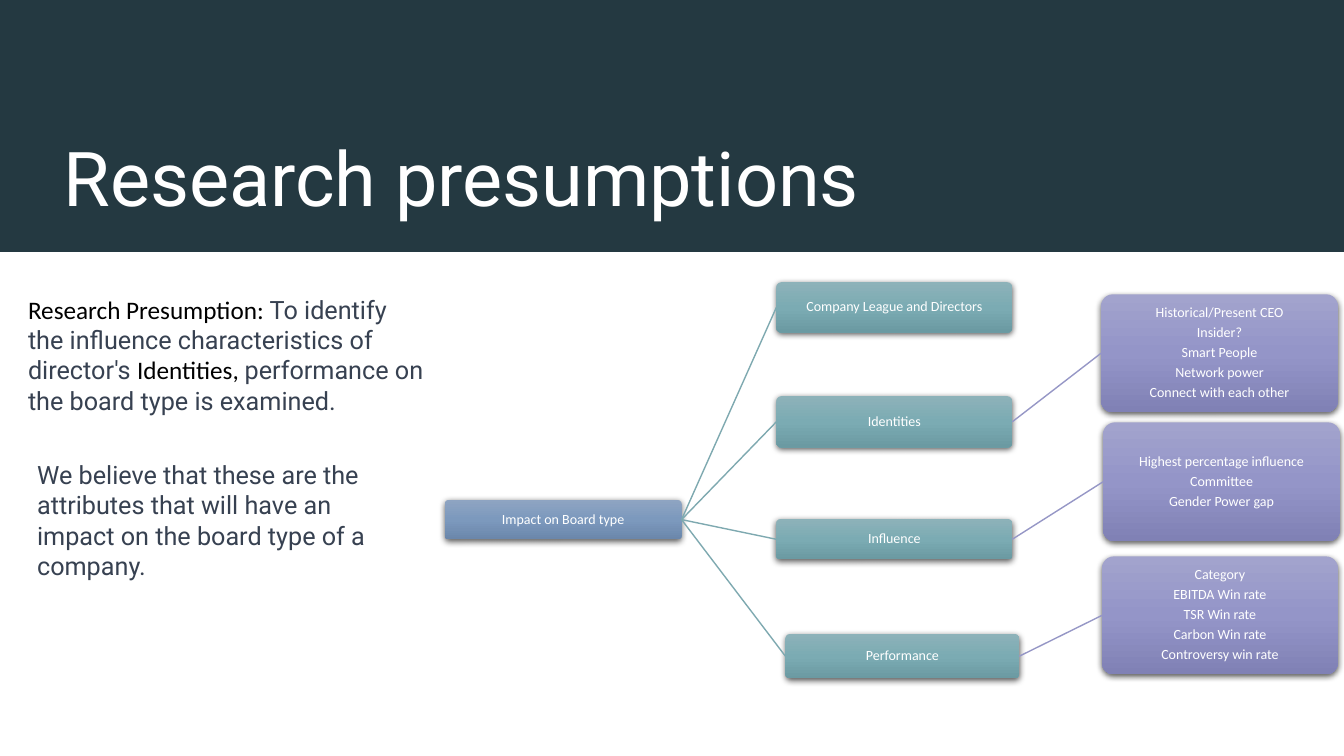
from pptx import Presentation
from pptx.dml.color import RGBColor
from pptx.enum.shapes import MSO_CONNECTOR as Connector, MSO_SHAPE as Shape
from pptx.enum.text import MSO_ANCHOR as Anchor, MSO_AUTO_SIZE as AutoSize, PP_ALIGN as Align
from pptx.oxml import parse_xml
from pptx.oxml.ns import nsdecls, qn
from pptx.util import Inches, Pt

WHITE, BLACK, SLATE, BAND = "FFFFFF", "000000", "374151", "243941"
TEAL_LINE, PURPLE_LINE = "7EA9B0", "9697C6"
BLUE = ("8EA4C2", "7C99BD", "6B87AB")
TEAL = ("8DB2B9", "7BABB3", "6B9AA2")
PURPLE = ("A2A3CD", "9495C8", "8081B5")


def style_font(font, name, size, color):
    font.name, font.size = name, Pt(size)
    font.color.rgb = RGBColor.from_string(color)


presentation = Presentation()
presentation.slide_width, presentation.slide_height = Inches(13.33), Inches(7.5)
slide = presentation.slides.add_slide(presentation.slide_layouts[5])
shapes = slide.shapes

title = shapes.title
title.left, title.top, title.width, title.height = map(Inches, (0.53, 0.41, 11.89, 1.85))
title.text_frame.text = "Research presumptions"
title.text_frame.vertical_anchor = Anchor.BOTTOM
title.text_frame.auto_size = AutoSize.NONE
title_paragraph = title.text_frame.paragraphs[0]
title_paragraph.alignment = Align.LEFT
title_paragraph.line_spacing = 0.9
style_font(title_paragraph.font, "Roboto", 54, WHITE)

band = shapes.add_shape(Shape.RECTANGLE, 0, 0, presentation.slide_width, Inches(2.5))
band.shadow.inherit = False
band.fill.solid()
band.fill.fore_color.rgb = RGBColor.from_string(BAND)
band.line.fill.background()
title.element.addprevious(band.element)

nodes = [
    ("Board", BLUE, 4.41, 4.96, 2.35, 0.39, ["Impact on Board type"]),
    ("League", TEAL, 7.7, 2.8, 2.34, 0.5, ["Company League and Directors"]),
    ("Identities", TEAL, 7.7, 3.93, 2.34, 0.51, ["Identities"]),
    ("Influence", TEAL, 7.7, 5.15, 2.34, 0.4, ["Influence"]),
    ("Performance", TEAL, 7.79, 6.29, 2.32, 0.44, ["Performance"]),
    ("Identity factors", PURPLE, 10.92, 2.92, 2.35, 1.17,
     ["Historical/Present CEO", "Insider?", "Smart People", "Network power",
      "Connect with each other"]),
    ("Influence factors", PURPLE, 10.94, 4.19, 2.35, 1.18,
     ["Highest percentage influence", "Committee", "Gender Power gap"]),
    ("Performance factors", PURPLE, 10.93, 5.52, 2.34, 1.17,
     ["Category", "EBITDA Win rate", "TSR Win rate", "Carbon Win rate",
      "Controversy win rate"]),
]
boxes = {}
for node, gradient, left, top, width, height, lines in nodes:
    box = shapes.add_shape(Shape.ROUNDED_RECTANGLE, *map(Inches, (left, top, width, height)))
    box.adjustments[0] = 0.1
    box.line.fill.background()
    box.shadow.inherit = False
    properties = box.element.spPr
    stops = "".join(
        f'<a:gs pos="{step * 50000}"><a:srgbClr val="{color}"/></a:gs>'
        for step, color in enumerate(gradient))
    properties.find(qn("a:ln")).addprevious(parse_xml(
        f'<a:gradFill {nsdecls("a")} rotWithShape="1"><a:gsLst>{stops}</a:gsLst>'
        '<a:lin ang="5400000" scaled="0"/></a:gradFill>'))
    properties.find(qn("a:effectLst")).append(parse_xml(
        f'<a:outerShdw {nsdecls("a")} blurRad="{Pt(4.5)}" dist="{Pt(1.5)}" dir="5400000" '
        f'algn="ctr" rotWithShape="0"><a:srgbClr val="{BLACK}"><a:alpha val="63000"/>'
        '</a:srgbClr></a:outerShdw>'))
    frame = box.text_frame
    frame.word_wrap = True
    frame.vertical_anchor = Anchor.MIDDLE
    frame.margin_left = frame.margin_right = frame.margin_top = frame.margin_bottom = Inches(0.01)
    frame.text = "\n".join(lines)
    for paragraph in frame.paragraphs:
        paragraph.alignment = Align.CENTER
        paragraph.line_spacing = 0.9
        paragraph.space_after = Pt(3.5)
        style_font(paragraph.font, "Calibri", 10, WHITE)
    boxes[node] = box

links = [("Board", branch, TEAL_LINE)
         for branch in ("League", "Identities", "Influence", "Performance")]
links += [("Identities", "Identity factors", PURPLE_LINE),
          ("Influence", "Influence factors", PURPLE_LINE),
          ("Performance", "Performance factors", PURPLE_LINE)]
for source, target, color in links:
    connector = shapes.add_connector(Connector.STRAIGHT, 0, 0, 0, 0)
    connector.begin_connect(boxes[source], 3)
    connector.end_connect(boxes[target], 1)
    connector.line.width = Pt(1)
    connector.line.color.rgb = RGBColor.from_string(color)
    connector.element.spPr.append(parse_xml(f'<a:effectLst {nsdecls("a")}/>'))

statements = [
    (0.18, 2.87, 4.13, [
        ("Research Presumption: ", "Calibri", BLACK),
        ("To identify the influence characteristics of director's ", "Roboto", SLATE),
        ("Identities, ", "Calibri", BLACK),
        ("performance on the board type is examined.", "Roboto", SLATE)]),
    (0.27, 4.51, 3.64, [
        ("We believe that these are the attributes that will have an impact on "
         "the board type of a company.", "Roboto", SLATE)]),
]
for left, top, width, runs in statements:
    frame = shapes.add_textbox(*map(Inches, (left, top, width, 1.31))).text_frame
    frame.word_wrap = True
    frame.auto_size = AutoSize.SHAPE_TO_FIT_TEXT
    for text, font_name, color in runs:
        run = frame.paragraphs[0].add_run()
        run.text = text
        style_font(run.font, font_name, 18, color)

presentation.save("out.pptx")
